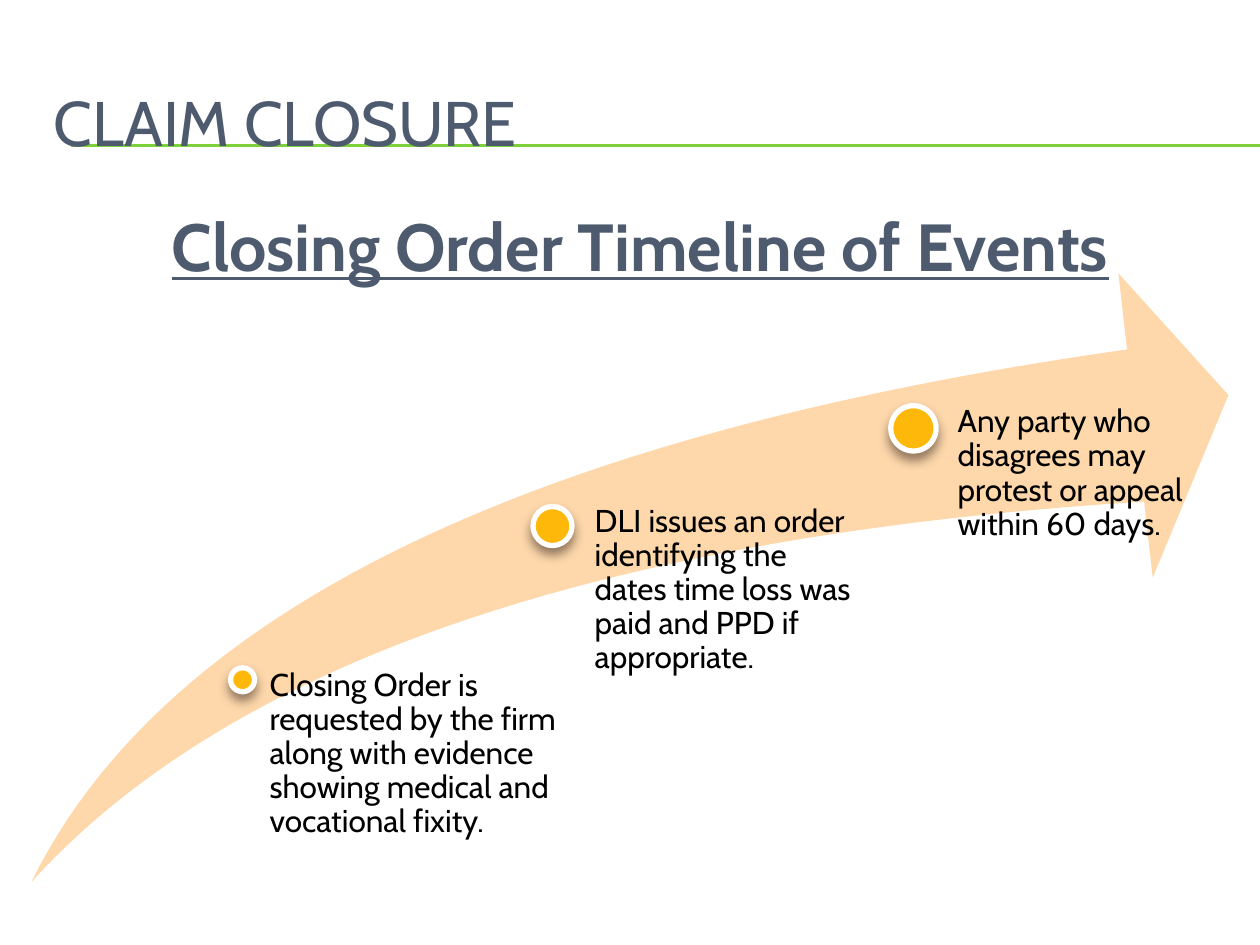
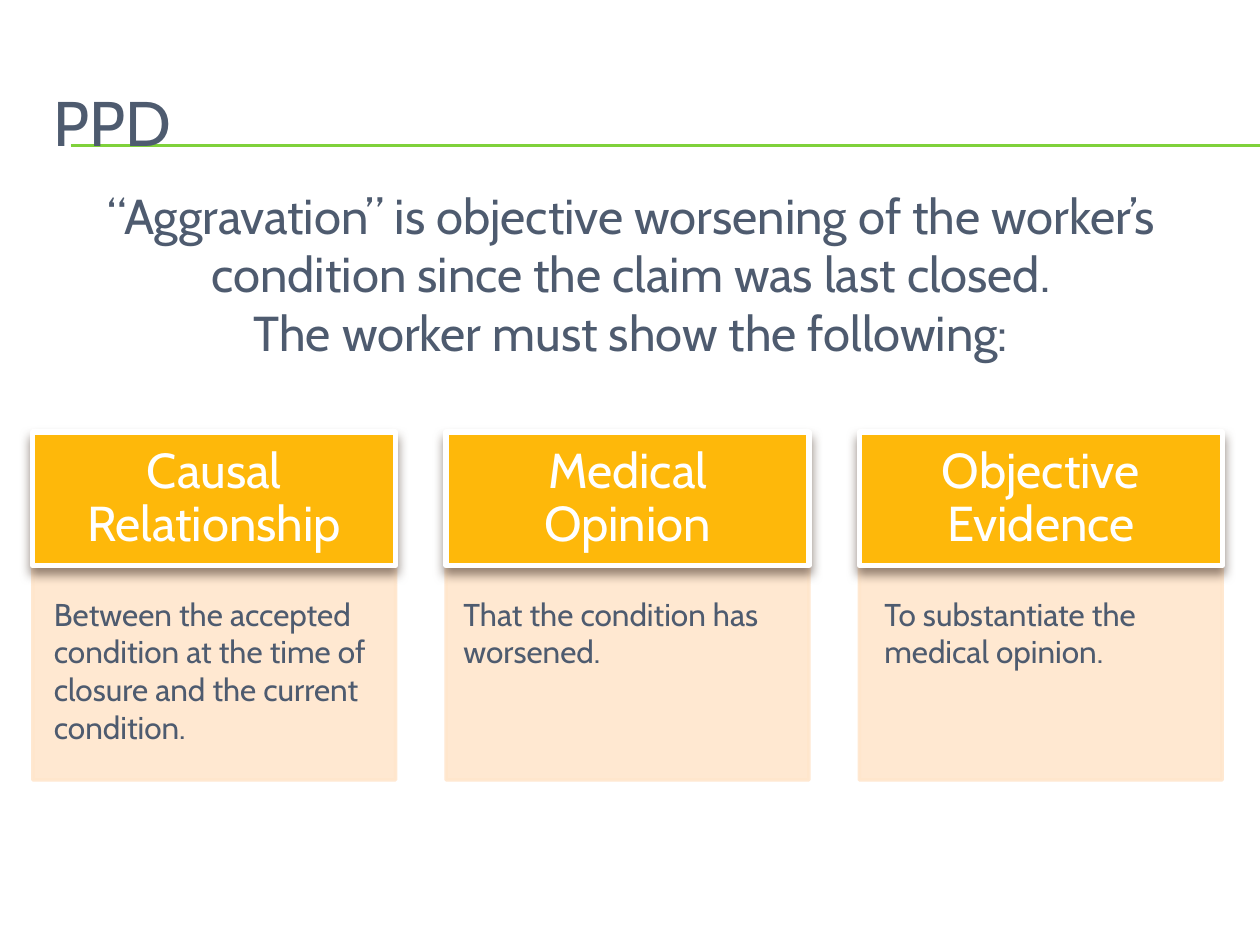
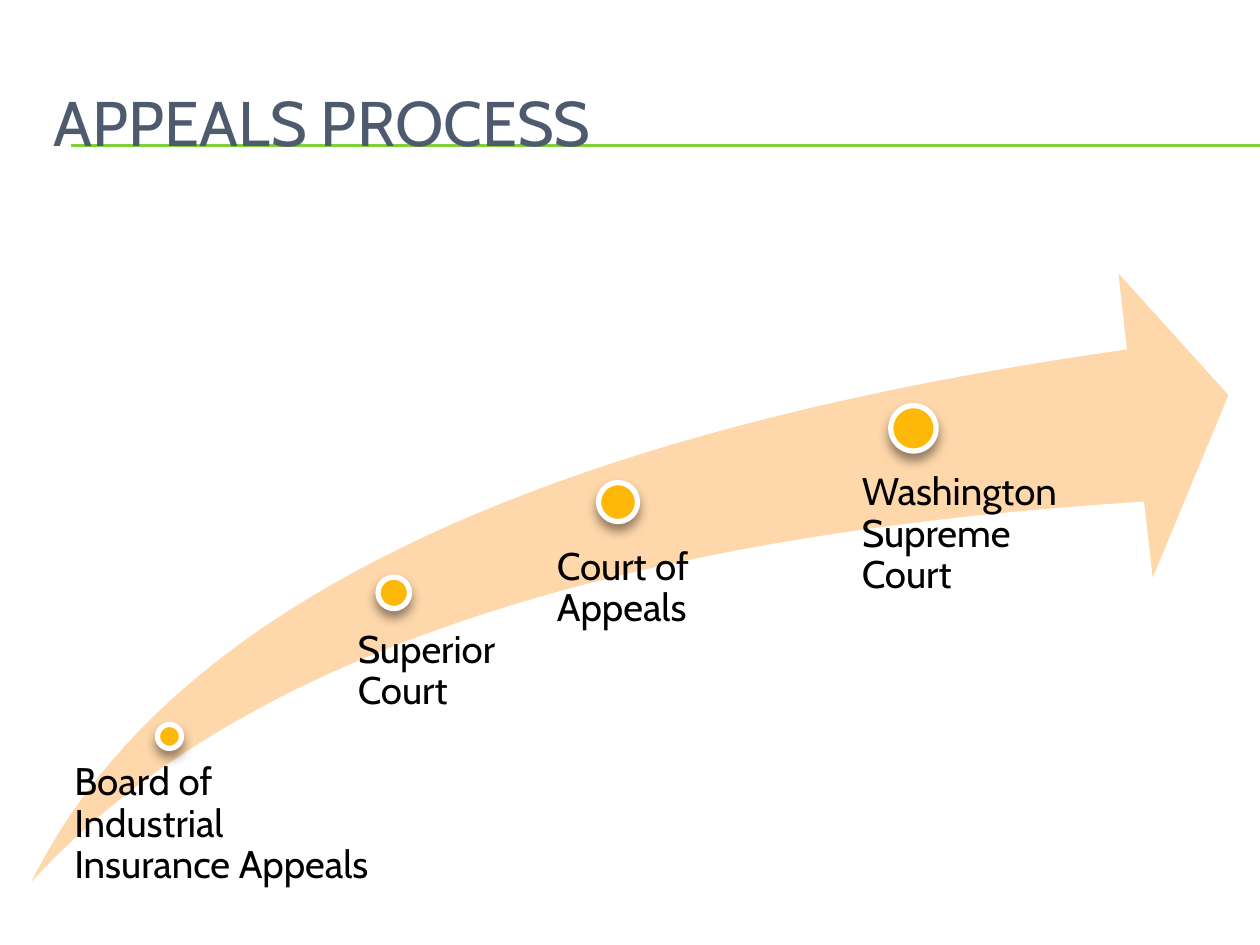
"""Build three slides on claim closure, aggravation and the appeals process."""
from dataclasses import dataclass

from lxml import etree
from pptx import Presentation
from pptx.dml.color import RGBColor
from pptx.enum.shapes import MSO_CONNECTOR, MSO_SHAPE
from pptx.enum.text import MSO_ANCHOR, PP_ALIGN
from pptx.oxml.ns import qn
from pptx.shapes.autoshape import Shape
from pptx.slide import Slide
from pptx.util import Inches, Pt

STRAIGHT = MSO_CONNECTOR.STRAIGHT
OVAL, RECTANGLE, SWOOSH = MSO_SHAPE.OVAL, MSO_SHAPE.RECTANGLE, MSO_SHAPE.SWOOSH_ARROW
LEFT, CENTER = PP_ALIGN.LEFT, PP_ALIGN.CENTER
TOP, MIDDLE = MSO_ANCHOR.TOP, MSO_ANCHOR.MIDDLE

FONT = "Cabin"
SLATE = RGBColor(0x4E, 0x5B, 0x6F)
GREEN = RGBColor(0x7F, 0xD1, 0x3B)
GOLD = RGBColor(0xFE, 0xB8, 0x0A)
PEACH = RGBColor(0xFE, 0xD8, 0xAB)
CREAM = RGBColor(0xFF, 0xE6, 0xCC)
BLACK = RGBColor(0, 0, 0)
WHITE = RGBColor(0xFF, 0xFF, 0xFF)
SHADOW_HEX = "4E3B30"

CARD_LEFT, CARD_PITCH, CARD_WIDTH = 0.26, 3.28, 2.88
HEADER_TOP, HEADER_HEIGHT, PANEL_HEIGHT = 3.43, 1.06, 1.7


@dataclass(frozen=True)
class Box:
    """Place and size in inches."""
    left: float
    top: float
    width: float
    height: float

    def emu(self) -> tuple[int, ...]:
        """Return the four lengths for python-pptx."""
        return tuple(Inches(v) for v in (self.left, self.top, self.width, self.height))


@dataclass(frozen=True)
class Style:
    """Look of a block of text."""
    size: float
    color: RGBColor = SLATE
    align: PP_ALIGN = LEFT
    anchor: MSO_ANCHOR = TOP
    inset_x: float = 0.1
    inset_y: float = 0.05
    spacing: float = 1.0
    bold: bool = False
    underline: bool = False


@dataclass(frozen=True)
class Milestone:
    """A dot on the arrow and its label."""
    dot_left: float
    dot_top: float
    dot_size: float
    label: Box
    lines: tuple[str, ...]


@dataclass(frozen=True)
class Card:
    """A headed panel and its body text."""
    heading: str
    body: Box
    lines: tuple[str, ...]


TITLE = Style(36, anchor=MIDDLE)
SUBTITLE = Style(38, align=CENTER, bold=True, underline=True)
INTRO = Style(28, align=CENTER)
HEADING = Style(28, WHITE, CENTER, MIDDLE, 0.22, 0.12, 0.9)
BODY = Style(18)
EVENT = Style(18, BLACK, inset_x=0.14, inset_y=0.14, spacing=0.9)
COURT = Style(22, BLACK, inset_x=0.17, inset_y=0.17, spacing=0.9)

EVENTS = (
    Milestone(1.83, 5.3, 0.19, Box(2, 5.17, 2.79, 1.79), (
        "Closing Order is requested by the firm along with evidence "
        "showing medical and vocational fixity.",)),
    Milestone(4.23, 4.02, 0.31, Box(4.58, 3.87, 2.38, 2.09), (
        "DLI issues an order identifying the dates time loss was paid "
        "and PPD if appropriate.",)),
    Milestone(7.07, 3.22, 0.36, Box(7.46, 3.08, 2.29, 1.85), (
        "Any party who disagrees may protest or appeal within 60 days.",)),
)
COURTS = (
    Milestone(1.25, 5.75, 0.19, Box(0.42, 5.88, 3.04, 1.12),
              ("Board of", "Industrial", "Insurance Appeals")),
    Milestone(3, 4.58, 0.25, Box(2.67, 4.83, 2.67, 0.92), ("Superior", "Court")),
    Milestone(4.75, 3.83, 0.31, Box(4.25, 4.17, 2.38, 2.09), ("Court of", "Appeals")),
    Milestone(7.07, 3.22, 0.36, Box(6.67, 3.58, 2.29, 1.85),
              ("Washington", "Supreme", "Court")),
)
CARDS = (
    Card("Causal Relationship", Box(0.33, 4.67, 2.67, 1.31), (
        "Between the accepted condition at the time of closure "
        "and the current condition.",)),
    Card("Medical Opinion", Box(3.58, 4.67, 2.67, 0.71),
         ("That the condition has worsened.",)),
    Card("Objective Evidence", Box(6.92, 4.67, 2.3, 0.71),
         ("To substantiate the", "medical opinion.")),
)


def write(sp: Shape, lines: tuple[str, ...], style: Style) -> None:
    """Fill a shape with one paragraph per line."""
    tf = sp.text_frame
    tf.word_wrap = True
    tf.vertical_anchor = style.anchor
    tf.margin_left = tf.margin_right = Inches(style.inset_x)
    tf.margin_top = tf.margin_bottom = Inches(style.inset_y)
    for i, line in enumerate(lines):
        p = tf.add_paragraph() if i else tf.paragraphs[0]
        p.alignment = style.align
        p.line_spacing = style.spacing
        r = p.add_run()
        r.text = line
        r.font.name = FONT
        r.font.size = Pt(style.size)
        r.font.color.rgb = style.color
        r.font.bold = style.bold
        r.font.underline = style.underline


def add_text(s: Slide, box: Box, lines: tuple[str, ...], style: Style) -> None:
    """Add a text box."""
    write(s.shapes.add_textbox(*box.emu()), lines, style)


def add_filled(s: Slide, kind: MSO_SHAPE, box: Box, fill: RGBColor,
               line: RGBColor | None = None, width: float = 0) -> Shape:
    """Add a flat shape, outlined when a line colour is given."""
    sp = s.shapes.add_shape(kind, *box.emu())
    sp.shadow.inherit = False
    sp.fill.solid()
    sp.fill.fore_color.rgb = fill
    if line is None:
        sp.line.fill.background()
    else:
        sp.line.color.rgb = line
        sp.line.width = Pt(width)
    return sp


def add_raised(s: Slide, kind: MSO_SHAPE, box: Box) -> Shape:
    """Add a gold shape with a white edge and a soft shadow below."""
    sp = add_filled(s, kind, box, GOLD, WHITE, 3)
    effects = sp._element.spPr.find(qn("a:effectLst"))
    shadow = etree.SubElement(effects, qn("a:outerShdw"), blurRad=str(Pt(6)),
                              dist=str(Pt(4)), dir="5400000", rotWithShape="0")
    color = etree.SubElement(shadow, qn("a:srgbClr"), val=SHADOW_HEX)
    etree.SubElement(color, qn("a:alpha"), val="60000")
    return sp


def add_panel(s: Slide, box: Box) -> None:
    """Add a slightly transparent cream panel."""
    sp = add_filled(s, RECTANGLE, box, CREAM, CREAM, 2)
    for color in sp._element.spPr.iter(qn("a:srgbClr")):
        etree.SubElement(color, qn("a:alpha"), val="90000")


def add_titled_slide(prs: Presentation, title: str) -> Slide:
    """Add a blank slide with the green rules and the title."""
    s = prs.slides.add_slide(prs.slide_layouts[6])
    for y in (1.15, 1.16):
        rule = s.shapes.add_connector(STRAIGHT, Inches(0.56), Inches(y),
                                      Inches(10), Inches(y))
        rule.line.color.rgb = GREEN
        rule.line.width = Pt(0.75)
        etree.SubElement(rule._element.spPr, qn("a:effectLst"))
    add_text(s, Box(0.33, 0.5, 9.5, 0.92), (title,), TITLE)
    return s


def add_timeline(s: Slide, milestones: tuple[Milestone, ...], style: Style) -> None:
    """Draw the rising arrow with its milestones."""
    add_filled(s, SWOOSH, Box(0.25, 2.17, 9.5, 4.83), PEACH)
    for m in milestones:
        add_text(s, m.label, m.lines, style)
        add_raised(s, OVAL, Box(m.dot_left, m.dot_top, m.dot_size, m.dot_size))


def add_cards(s: Slide) -> None:
    """Draw the row of headed panels."""
    for i, card in enumerate(CARDS):
        left = CARD_LEFT + i * CARD_PITCH
        add_panel(s, Box(left, HEADER_TOP + HEADER_HEIGHT, CARD_WIDTH, PANEL_HEIGHT))
        header = add_raised(s, RECTANGLE, Box(left, HEADER_TOP, CARD_WIDTH, HEADER_HEIGHT))
        write(header, (card.heading,), HEADING)
        add_text(s, card.body, card.lines, BODY)


def main() -> None:
    """Build and save the presentation."""
    prs = Presentation()
    prs.slide_width, prs.slide_height = Inches(10), Inches(7.5)

    s = add_titled_slide(prs, "CLAIM CLOSURE")
    add_text(s, Box(0.33, 1.58, 9.5, 5.38), ("Closing Order Timeline of Events",), SUBTITLE)
    add_timeline(s, EVENTS, EVENT)

    s = add_titled_slide(prs, "PPD")
    add_cards(s)
    add_text(s, Box(0.67, 1.42, 8.67, 1.51), (
        "“Aggravation” is objective worsening of the worker’s condition "
        "since the claim was last closed.",
        "The worker must show the following:"), INTRO)

    s = add_titled_slide(prs, "APPEALS PROCESS")
    add_timeline(s, COURTS, COURT)

    prs.save("out.pptx")


if __name__ == "__main__":
    main()
